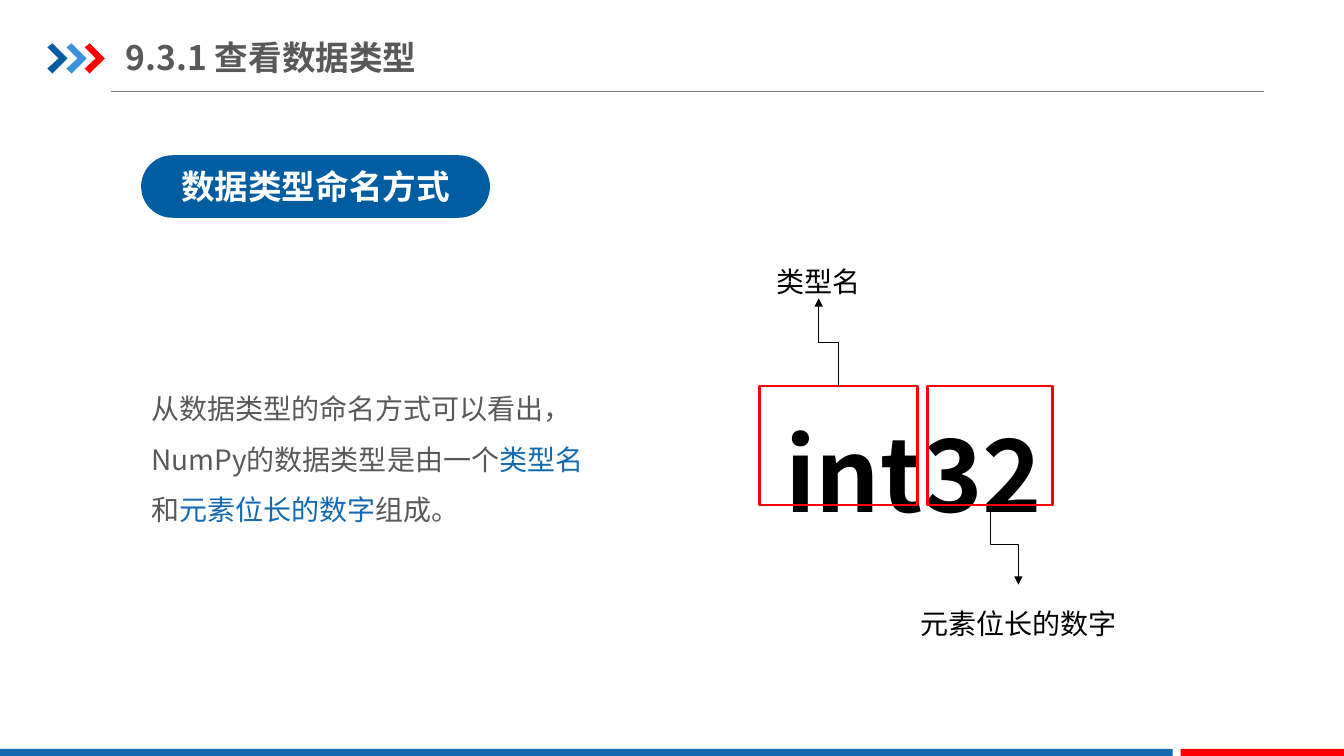
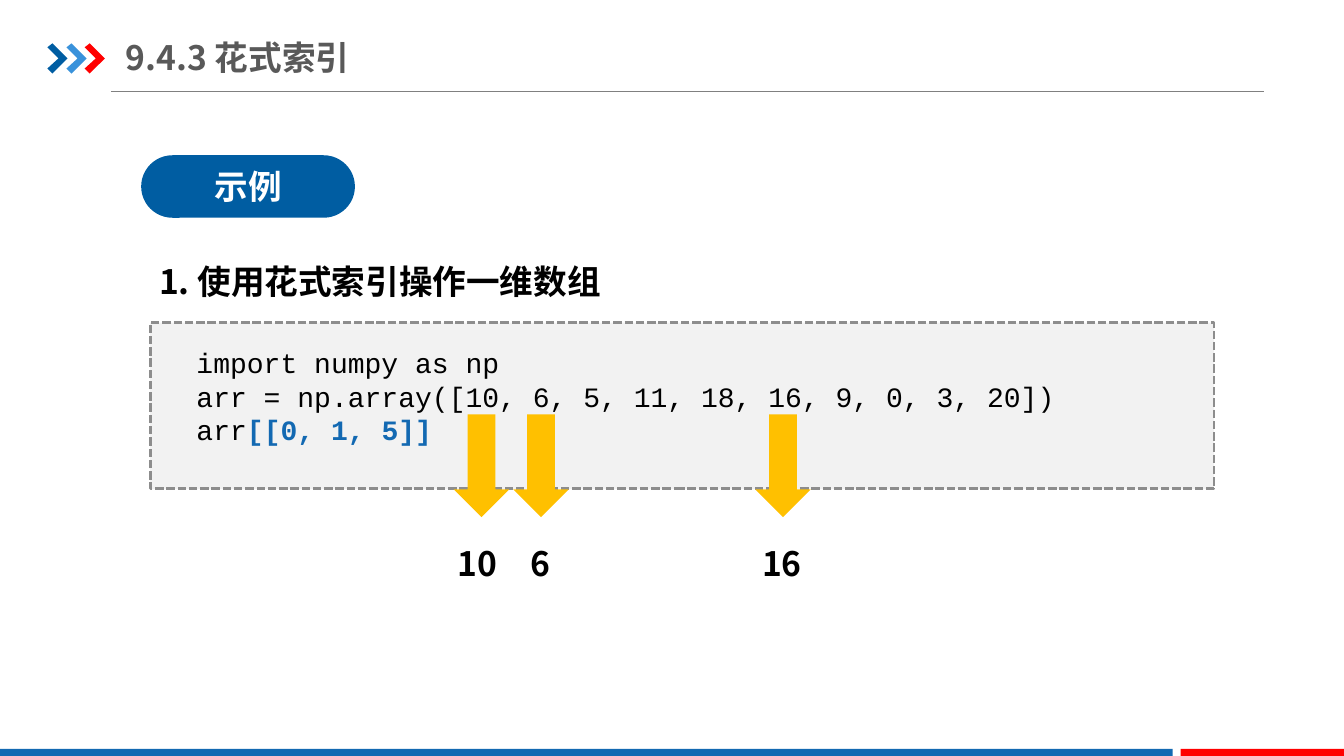
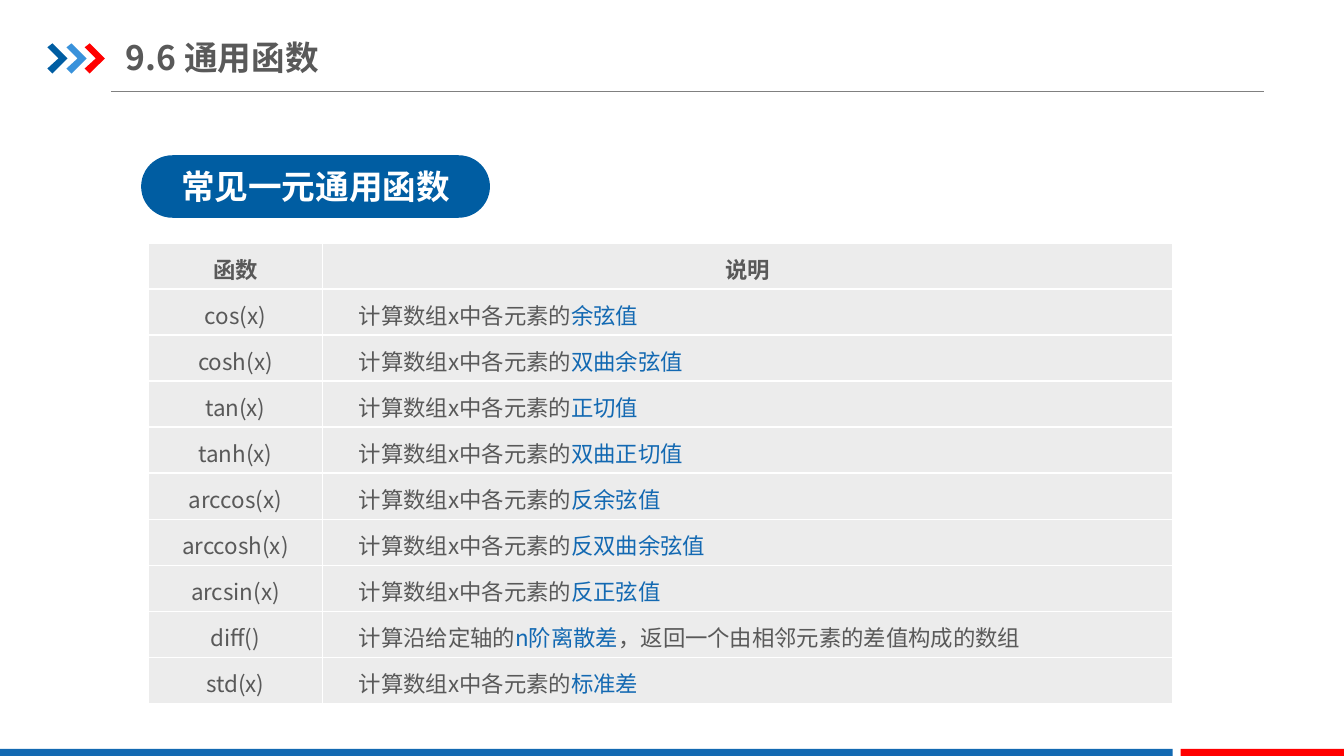
from dataclasses import dataclass

from lxml.etree import SubElement
from pptx import Presentation
from pptx.dml.color import RGBColor
from pptx.enum.dml import MSO_LINE_DASH_STYLE as Dash
from pptx.enum.shapes import MSO_CONNECTOR as Connector, MSO_SHAPE as Shape
from pptx.enum.text import MSO_ANCHOR as Anchor, MSO_AUTO_SIZE as AutoSize, PP_ALIGN as Align
from pptx.oxml.ns import qn
from pptx.util import Inches, Pt

FONT = "Noto Sans CJK SC"
CODE_FONT = "Courier New"
BLACK = "000000"
WHITE = "FFFFFF"
GRAY = "595959"
BLUE = "1369B2"
DEEP_BLUE = "005DA2"
RED = "FF0000"
FRAME_RED = "FA0102"


@dataclass(frozen=True)
class Box:
    left: float
    top: float
    width: float
    height: float

    def lengths(self) -> list:
        return [Inches(value) for value in (self.left, self.top, self.width, self.height)]


@dataclass(frozen=True)
class Run:
    text: str
    color: str | None = None
    bold: bool | None = None


@dataclass(frozen=True)
class Bar:
    box: Box
    color: str


@dataclass(frozen=True)
class Chevron:
    left: float
    color: str


@dataclass(frozen=True)
class Pick:
    value: str
    arrow_left: float
    label_left: float
    label_width: float


@dataclass(frozen=True)
class Function:
    name: str
    description: list[Run]


CHEVRON_TOP = 0.43
CHEVRON_POINTS = [(0, 0.04), (0.05, 0), (0.2, 0.15), (0.05, 0.3), (0, 0.25), (0.11, 0.15)]
CHEVRONS = [Chevron(0.47, DEEP_BLUE), Chevron(0.66, "3992DB"), Chevron(0.84, RED)]
FOOTER_BARS = [
    Bar(Box(0, 7.43, 11.63, 0.07), BLUE),
    Bar(Box(11.71, 7.43, 1.62, 0.07), RED),
]
PICKS = [
    Pick("10", 4.5, 4.44, 0.62),
    Pick("6", 5.09, 5.16, 0.41),
    Pick("16", 7.49, 7.46, 0.62),
]


def element_value(value: str) -> list[Run]:
    return [Run("计算数组x中各元素的"), Run(value, BLUE)]


FUNCTIONS = [
    Function("cos(x)", element_value("余弦值")),
    Function("cosh(x)", element_value("双曲余弦值")),
    Function("tan(x)", element_value("正切值")),
    Function("tanh(x)", element_value("双曲正切值")),
    Function("arccos(x)", element_value("反余弦值")),
    Function("arccosh(x)", element_value("反双曲余弦值")),
    Function("arcsin(x)", element_value("反正弦值")),
    Function("diff()", [
        Run("计算沿给定轴的"),
        Run("n阶离散差", BLUE),
        Run("，返回一个由相邻元素的差值构成的数组"),
    ]),
    Function("std(x)", element_value("标准差")),
]


def rgb(color: str) -> RGBColor:
    return RGBColor.from_string(color)


def write_text(frame, paragraphs: list[list[Run]], *, size: float, color: str = BLACK,
               bold: bool = False, font: str = FONT, align=None, spacing=None,
               indent: float = 0) -> None:
    for index, runs in enumerate(paragraphs):
        paragraph = frame.add_paragraph() if index else frame.paragraphs[0]
        if align is not None:
            paragraph.alignment = align
        if spacing is not None:
            paragraph.line_spacing = spacing
        if indent:
            properties = paragraph._p.get_or_add_pPr()
            properties.set("marL", "0")
            properties.set("indent", str(Inches(indent)))
        for item in runs:
            run = paragraph.add_run()
            run.text = item.text
            run.font.size = Pt(size)
            run.font.bold = bold if item.bold is None else item.bold
            run.font.color.rgb = rgb(item.color or color)
            run.font.name = font
            SubElement(run._r.get_or_add_rPr(), qn("a:ea"), typeface=font)


def add_text(slide, box: Box, paragraphs: list[list[Run]], *, wrap: bool = True,
             grow: bool = True, **text_format):
    shape = slide.shapes.add_textbox(*box.lengths())
    frame = shape.text_frame
    frame.word_wrap = wrap
    frame.auto_size = AutoSize.SHAPE_TO_FIT_TEXT if grow else AutoSize.NONE
    write_text(frame, paragraphs, **text_format)
    return shape


def paint(shape, fill: str | None = None, line: str | None = None, width: float = 2) -> None:
    shape.shadow.inherit = False
    if fill:
        shape.fill.solid()
        shape.fill.fore_color.rgb = rgb(fill)
    else:
        shape.fill.background()
    if line:
        shape.line.color.rgb = rgb(line)
        shape.line.width = Pt(width)
    else:
        shape.line.fill.background()


def add_shape(slide, kind, box: Box, fill: str | None = None, line: str | None = None):
    shape = slide.shapes.add_shape(kind, *box.lengths())
    paint(shape, fill, line)
    return shape


def add_line(slide, kind, start: tuple[float, float], end: tuple[float, float], color: str):
    connector = slide.shapes.add_connector(kind, *map(Inches, (*start, *end)))
    connector.line.color.rgb = rgb(color)
    connector.line.width = Pt(0.75)
    SubElement(connector._element.spPr, qn("a:effectLst"))
    return connector


def add_vertical_elbow(slide, start: tuple[float, float], end: tuple[float, float]) -> None:
    across, down = end[0] - start[0], end[1] - start[1]
    center_x, center_y = (start[0] + end[0]) / 2, (start[1] + end[1]) / 2
    half_length, half_offset = abs(down) / 2, abs(across) / 2
    connector = add_line(slide, Connector.ELBOW,
                         (center_x - half_length, center_y - half_offset),
                         (center_x + half_length, center_y + half_offset), BLACK)
    transform = connector._element.spPr.xfrm
    transform.set("rot", str(270 * 60000))
    if down > 0:
        transform.set("flipH", "1")
    if across < 0:
        transform.set("flipV", "1")
    SubElement(connector.line._get_or_add_ln(), qn("a:tailEnd"), type="triangle")


def add_chevron(slide, chevron: Chevron) -> None:
    points = [(Inches(chevron.left + x), Inches(CHEVRON_TOP + y)) for x, y in CHEVRON_POINTS]
    builder = slide.shapes.build_freeform(*points[0], scale=1.0)
    builder.add_line_segments(points[1:], close=True)
    paint(builder.convert_to_shape(), chevron.color)


def start_slide(presentation, title: str, heading: str, heading_width: float):
    slide = presentation.slides.add_slide(presentation.slide_layouts[6])
    add_line(slide, Connector.STRAIGHT, (1.1, 0.91), (12.54, 0.91), "808080")
    for chevron in CHEVRONS:
        add_chevron(slide, chevron)
    for bar in FOOTER_BARS:
        add_shape(slide, Shape.RECTANGLE, bar.box, bar.color)

    title_box = add_text(slide, Box(1.25, 0.29, 5.57, 0.55), [[Run(title)]], grow=False,
                         size=24, color=GRAY, bold=True)
    frame = title_box.text_frame
    frame.vertical_anchor = Anchor.MIDDLE
    frame.margin_left = frame.margin_right = 0
    frame.margin_top = frame.margin_bottom = Inches(0.07)

    pill = add_shape(slide, Shape.ROUNDED_RECTANGLE, Box(1.4, 1.54, heading_width, 0.62),
                     DEEP_BLUE)
    pill.adjustments[0] = 0.5
    pill.text_frame.vertical_anchor = Anchor.MIDDLE
    write_text(pill.text_frame, [[Run(heading)]], size=24, color=WHITE, bold=True,
               align=Align.CENTER)
    return slide


def build_type_naming(presentation) -> None:
    slide = start_slide(presentation, "9.3.1 查看数据类型", "数据类型命名方式", 3.46)
    explanation = [
        Run("从数据类型的命名方式可以看出，NumPy的数据类型是由一个"),
        Run("类型名", BLUE),
        Run("和"),
        Run("元素位长的数字", BLUE),
        Run("组成。"),
    ]
    add_text(slide, Box(1.4, 3.67, 4.49, 1.62), [explanation], size=20, color=GRAY, spacing=1.5)
    add_text(slide, Box(7.69, 3.44, 2.82, 1.7), [[Run("int32")]], wrap=False,
             size=72, bold=True, spacing=1.5)
    for frame_box in (Box(7.53, 3.83, 1.57, 1.18), Box(9.2, 3.83, 1.24, 1.18)):
        add_shape(slide, Shape.RECTANGLE, frame_box, line=FRAME_RED)
    for label, label_box in (("类型名", Box(7.6, 2.41, 1.04, 0.55)),
                             ("元素位长的数字", Box(9.02, 5.8, 2.17, 0.55))):
        add_text(slide, label_box, [[Run(label)]], wrap=False, size=20,
                 align=Align.CENTER, spacing=1.5)
    add_vertical_elbow(slide, (8.32, 3.83), (8.12, 2.96))
    add_vertical_elbow(slide, (9.82, 5.01), (10.1, 5.8))


def build_fancy_index(presentation) -> None:
    slide = start_slide(presentation, "9.4.3 花式索引", "示例", 2.12)
    panel = add_shape(slide, Shape.RECTANGLE, Box(1.49, 3.2, 10.55, 1.65), "F2F2F2", "8D8D8D")
    panel.line.dash_style = Dash.SQUARE_DOT
    code = [
        [Run("import numpy as np")],
        [Run("arr = np.array([10, 6, 5, 11, 18, 16, 9, 0, 3, 20])")],
        [Run("arr"), Run("[[0, 1, 5]]", BLUE, True)],
    ]
    add_text(slide, Box(1.6, 3.38, 9.41, 1.11), code, size=20, font=CODE_FONT, indent=0.25)
    for pick in PICKS:
        add_shape(slide, Shape.DOWN_ARROW, Box(pick.arrow_left, 4.11, 0.55, 1.02), "FFC000")
        add_text(slide, Box(pick.label_left, 5.14, pick.label_width, 0.64), [[Run(pick.value)]],
                 wrap=False, size=24, bold=True, spacing=1.5)
    add_text(slide, Box(1.48, 2.54, 4.77, 0.5), [[Run("1. 使用花式索引操作一维数组")]],
             wrap=False, size=24, bold=True)


def fill_cell(cell, runs: list[Run], **text_format) -> None:
    cell.vertical_anchor = Anchor.MIDDLE
    cell.margin_left = cell.margin_right = Inches(0.07)
    cell.margin_top = cell.margin_bottom = 0
    properties = cell._tc.get_or_add_tcPr()
    for side in ("a:lnL", "a:lnR", "a:lnT", "a:lnB"):
        border = SubElement(properties, qn(side), w=str(Pt(1)))
        SubElement(SubElement(border, qn("a:solidFill")), qn("a:srgbClr"), val=WHITE)
    cell.fill.solid()
    cell.fill.fore_color.rgb = rgb("ECECEC")
    write_text(cell.text_frame, [runs], size=16, color=GRAY, spacing=1.15, **text_format)


def build_function_table(presentation) -> None:
    slide = start_slide(presentation, "9.6 通用函数", "常见一元通用函数", 3.46)
    table_box = Box(1.47, 2.41, 10.16, 4.57)
    table = slide.shapes.add_table(len(FUNCTIONS) + 1, 2, *table_box.lengths()).table
    table.horz_banding = False
    table.columns[0].width = Inches(1.73)
    table.columns[1].width = Inches(8.43)
    for column, header in enumerate(("函数", "说明")):
        fill_cell(table.cell(0, column), [Run(header)], bold=True, align=Align.CENTER)
    for row, function in enumerate(FUNCTIONS, start=1):
        fill_cell(table.cell(row, 0), [Run(function.name)], align=Align.CENTER)
        fill_cell(table.cell(row, 1), function.description, indent=0.29)


def main() -> None:
    presentation = Presentation()
    presentation.slide_width = Inches(13.33)
    presentation.slide_height = Inches(7.5)
    build_type_naming(presentation)
    build_fancy_index(presentation)
    build_function_table(presentation)
    presentation.save("out.pptx")


if __name__ == "__main__":
    main()
